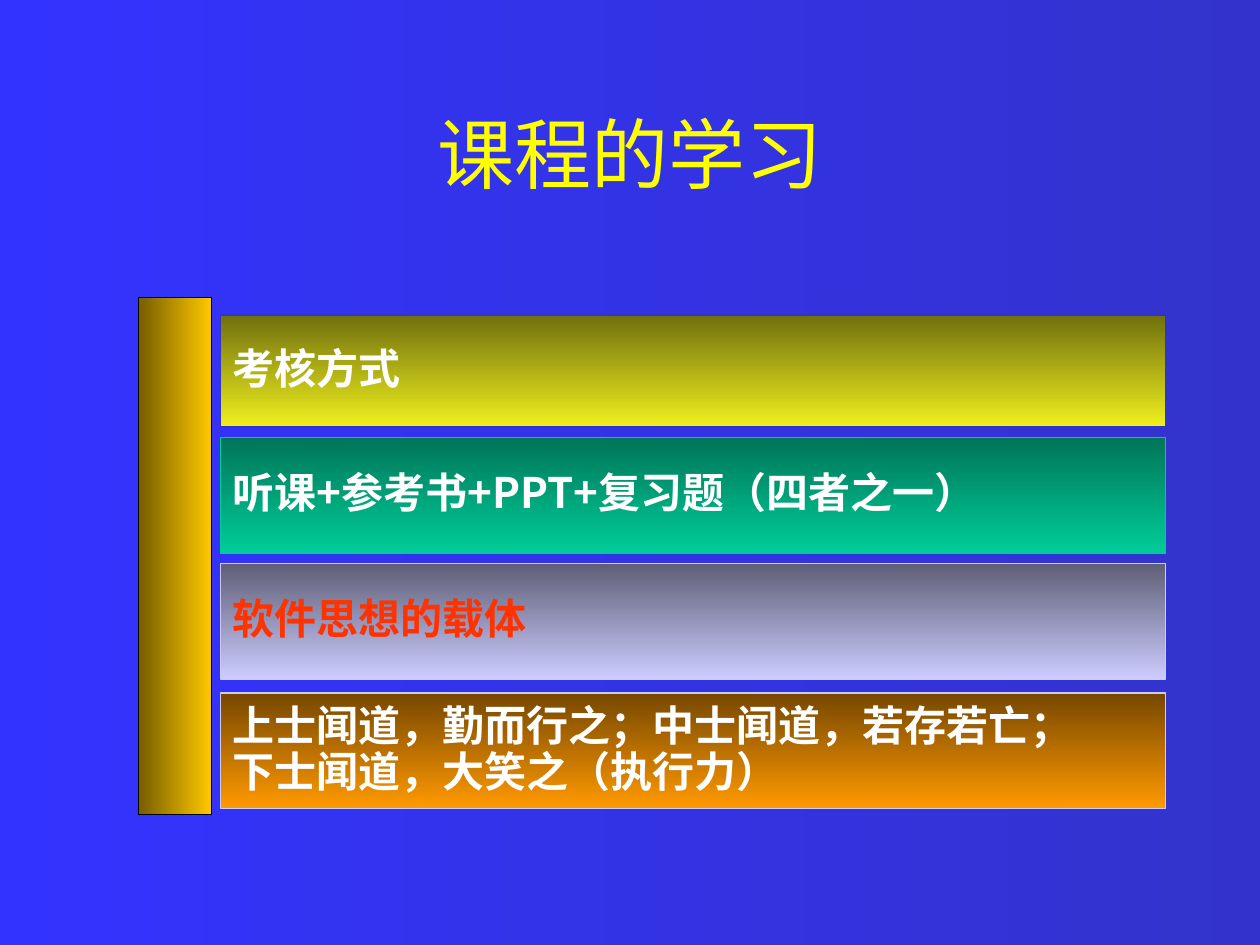
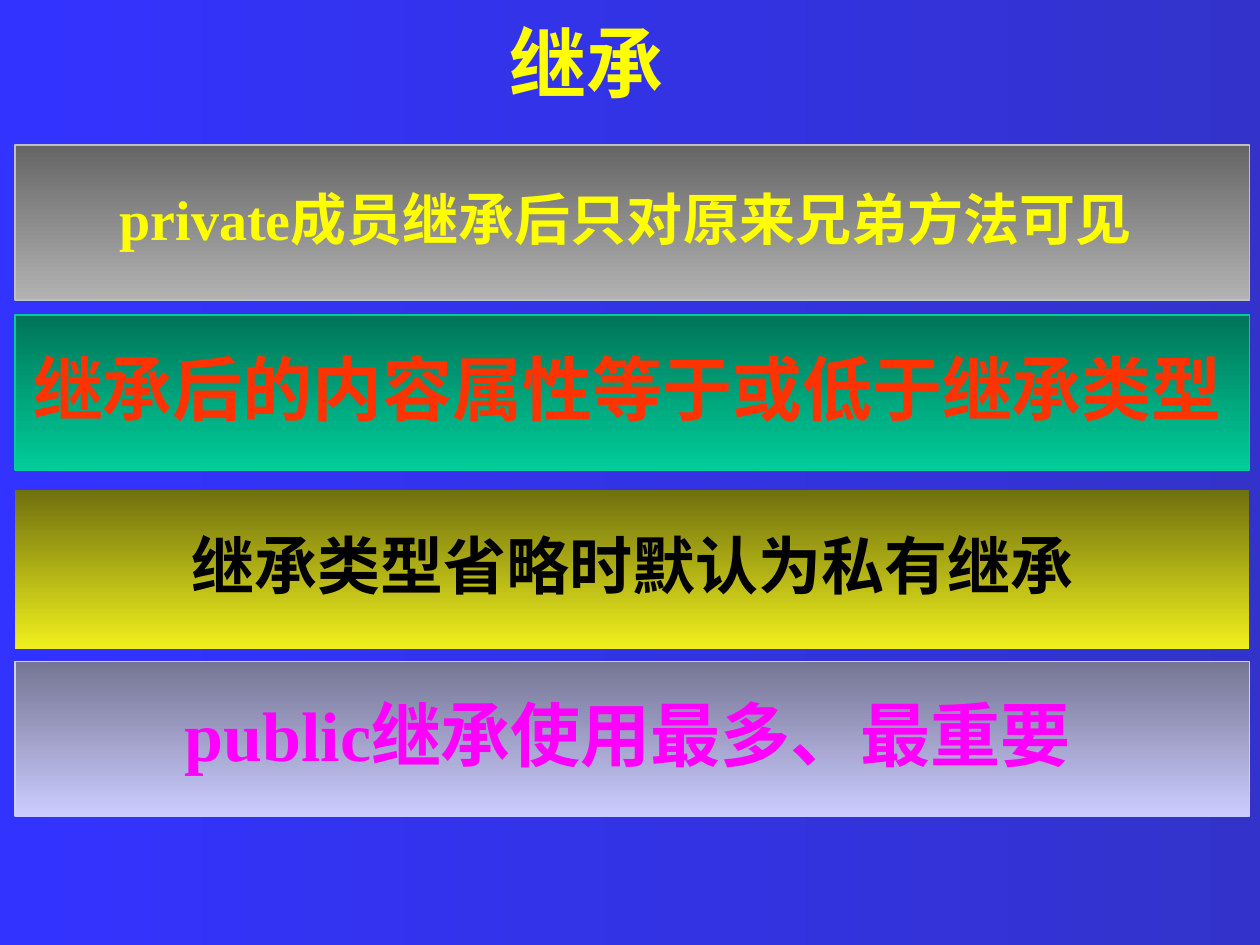
from pptx import Presentation
from pptx.dml.color import RGBColor
from pptx.enum.shapes import MSO_SHAPE as Shape
from pptx.enum.text import MSO_ANCHOR as Anchor, MSO_AUTO_SIZE as AutoSize, PP_ALIGN as Align
from pptx.oxml.ns import qn
from pptx.util import Pt

SANS, SERIF, ARIAL = "Noto Sans CJK SC", "Times New Roman", "Arial"
WHITE, BLACK, RED, YELLOW, MAGENTA = "FFFFFF", "000000", "FF3300", "FFFF00", "FF00FF"
NAVY, GREEN, LILAC, SILVER = "3333CC", "00CC99", "CCCCFF", "C0C0C0"
OLIVE_FADE = ("70700E", "F0F01E")
GREEN_FADE = ("007558", GREEN)
LILAC_FADE = ("5E5E76", LILAC)
PALE_LILAC_FADE = ("757593", LILAC)
ORANGE_FADE = ("764700", "FF9900")
GREY_FADE = ("666666", "B2B2B2")
GOLD_FADE = ("765D00", "FFC800")
RIGHTWARD, DOWNWARD = 0, 270


def paint(color, value):
    color.rgb = RGBColor.from_string(value)


def fade(fill, ends, angle):
    fill.gradient()
    fill.gradient_angle = angle
    for stop, value in zip(fill.gradient_stops, ends):
        paint(stop.color, value)


def add_run(paragraph, words, font, size, color, bold):
    run = paragraph.add_run()
    run.text = words
    run.font.name = font
    run.font.size = Pt(size)
    run.font.bold = bold
    paint(run.font.color, color)
    east_asian = run.font._element.makeelement(qn("a:ea"), {"typeface": SANS})
    run.font._element.find(qn("a:latin")).addnext(east_asian)


def write(frame, lines, *, font=SERIF, size=24, color=WHITE, bold=True,
          align=Align.CENTER, spacing=None, wrap=True, small_space=False):
    frame.word_wrap = wrap
    frame.auto_size = AutoSize.NONE
    frame.vertical_anchor = Anchor.MIDDLE
    for index, words in enumerate(lines.split("\n")):
        paragraph = frame.add_paragraph() if index else frame.paragraphs[0]
        paragraph.alignment = align
        paragraph.line_spacing = spacing
        add_run(paragraph, words, font, size, color, bold)
        if small_space:
            add_run(paragraph, " ", font, 24, BLACK, False)


def add_title(slide, box, words, bold):
    title = slide.shapes.title
    title.left, title.top, title.width, title.height = map(Pt, box)
    write(title.text_frame, words, size=44, color=YELLOW, bold=bold)


def add_bar(slide, box, ends, edge=None, edge_width=1, angle=DOWNWARD):
    bar = slide.shapes.add_shape(Shape.RECTANGLE, *map(Pt, box))
    bar.shadow.inherit = False
    fade(bar.fill, ends, angle)
    if edge:
        paint(bar.line.color, edge)
        bar.line.width = Pt(edge_width)
    else:
        bar.line.fill.background()
    return bar


def add_stack(slide, box, rows, **shared):
    left, top, width = box
    for offset, height, ends, edge, words, style in rows:
        bar = add_bar(slide, (left, top + offset, width, height), ends, edge)
        write(bar.text_frame, words, spacing=0.9, **shared, **style)


def build_study_slide(slide):
    add_title(slide, (0, 42, 720, 90), "课程的学习", False)
    add_bar(slide, (79, 170, 42, 295.5), GOLD_FADE, BLACK, 0.75, RIGHTWARD)
    rows = [
        (0, 64, OLIVE_FADE, NAVY, "考核方式", {}),
        (70, 66, GREEN_FADE, GREEN, "听课+参考书+PPT+复习题（四者之一）", {}),
        (142, 66, LILAC_FADE, LILAC, "软件思想的载体", {"color": RED}),
        (216, 66, ORANGE_FADE, LILAC,
         "上士闻道，勤而行之；中士闻道，若存若亡；\n下士闻道，大笑之（执行力）", {}),
    ]
    add_stack(slide, (126, 180, 540), rows, font=SANS, align=Align.LEFT)


def build_inheritance_slide(slide):
    add_title(slide, (-20, 9.5, 720, 51), "继承 ", True)
    rows = [
        (0, 88.5, GREY_FADE, SILVER, "private成员继承后只对原来兄弟方法可见 ",
         {"size": 32, "color": YELLOW}),
        (97, 88.5, GREEN_FADE, GREEN, "继承后的内容属性等于或低于继承类型",
         {"size": 40, "color": RED, "small_space": True}),
        (197, 91, OLIVE_FADE, None, "继承类型省略时默认为私有继承",
         {"size": 36, "color": BLACK, "font": ARIAL}),
        (295, 88.5, PALE_LILAC_FADE, LILAC, "public继承使用最多、最重要",
         {"size": 40, "color": MAGENTA, "small_space": True}),
    ]
    add_stack(slide, (8.5, 83, 705.5), rows, wrap=False)


def main():
    deck = Presentation()
    deck.slide_width, deck.slide_height = Pt(720), Pt(540)
    fade(deck.slide_master.background.fill, ("3333FF", NAVY), RIGHTWARD)
    title_only = deck.slide_layouts[5]
    for build in (build_study_slide, build_inheritance_slide):
        build(deck.slides.add_slide(title_only))
    deck.save("out.pptx")


if __name__ == "__main__":
    main()
